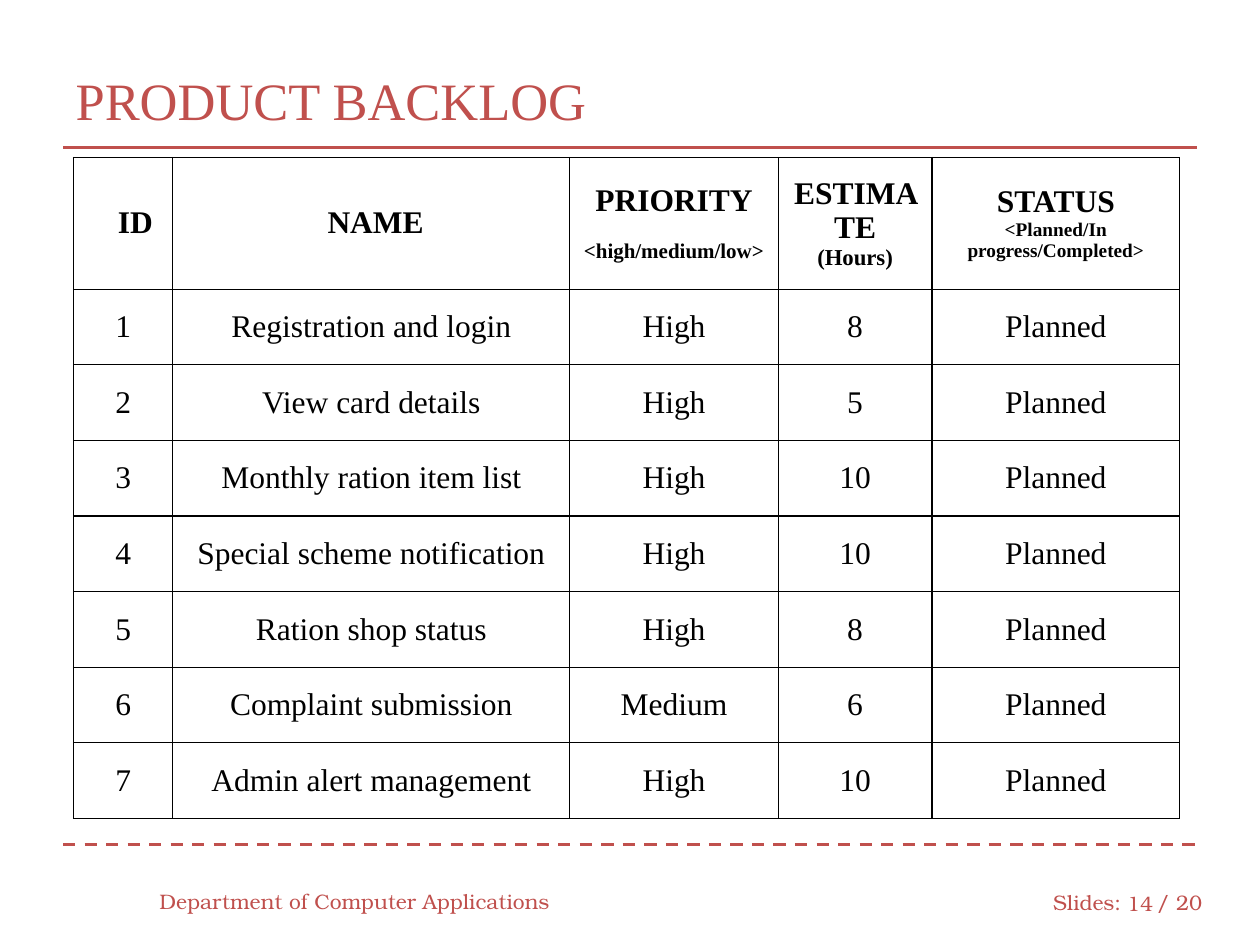
import pptx
import pptx.dml.color
import pptx.enum.dml
import pptx.enum.shapes
import pptx.enum.text
import pptx.oxml
import pptx.oxml.ns
import pptx.util

Pt = pptx.util.Pt
ALIGN = pptx.enum.text.PP_ALIGN
MIDDLE = pptx.enum.text.MSO_ANCHOR.MIDDLE
RED = pptx.dml.color.RGBColor(0xC0, 0x50, 0x4D)
BLACK = pptx.dml.color.RGBColor(0, 0, 0)
WHITE = pptx.dml.color.RGBColor(255, 255, 255)
SERIF = "Times New Roman"
BOOKMAN = "TeX Gyre Bonum"


def write(p, text, font, size, color, bold=False, align=ALIGN.LEFT):
    """Add a formatted run to paragraph p."""
    p.alignment = align
    r = p.add_run()
    r.text = text
    for name, value in {"name": font, "size": Pt(size), "bold": bold}.items():
        setattr(r.font, name, value)
    r.font.color.rgb = color


def add_borders(cell):
    """Draw thin black lines on all four sides of a cell."""
    props = cell._tc.get_or_add_tcPr()
    for i, side in enumerate(("lnL", "lnR", "lnT", "lnB")):
        props.insert(i, pptx.oxml.parse_xml(
            f'<a:{side} {pptx.oxml.ns.nsdecls("a")} w="9525"><a:solidFill>'
            f'<a:srgbClr val="{BLACK}"/></a:solidFill></a:{side}>'))


prs = pptx.Presentation()
prs.slide_width, prs.slide_height = Pt(720), Pt(540)
s = prs.slides.add_slide(prs.slide_layouts[5])
s.background.fill.solid()
s.background.fill.fore_color.rgb = WHITE

# Title
title = s.shapes.title
title.left, title.top, title.width, title.height = Pt(36), Pt(24), Pt(648), Pt(66)
title.text_frame.vertical_anchor = MIDDLE
write(title.text_frame.paragraphs[0], "PRODUCT BACKLOG", SERIF, 30, RED)

# Rules above and below the table
for y, dash in ((84.2, None), (482.4, pptx.enum.dml.MSO_LINE.DASH)):
    rule = s.shapes.add_connector(pptx.enum.shapes.MSO_CONNECTOR.STRAIGHT,
                                  Pt(36), Pt(y), Pt(684), Pt(y))
    rule.line.color.rgb = RED
    rule.line.width = Pt(1.75)
    rule.line.dash_style = dash
    rule._element.spPr.append(
        pptx.oxml.parse_xml(f'<a:effectLst {pptx.oxml.ns.nsdecls("a")}/>'))

# Footer
for text, x, y, width, align in (
    ("Department of Computer Applications", 84, 500.4, 240, ALIGN.LEFT),
    ("Slides:", 594.7, 501, 54, ALIGN.LEFT),
    ("14", 635.8, 501.8, 30.2, ALIGN.RIGHT),
    ("/ 20", 654, 501, 42, ALIGN.LEFT),
):
    tf = s.shapes.add_textbox(Pt(x), Pt(y), Pt(width), Pt(28.8)).text_frame
    tf.word_wrap = True
    tf.vertical_anchor = MIDDLE
    write(tf.paragraphs[0], text, BOOKMAN, 12, RED, align=align)

# Backlog table: each heading has a title, then a note, its size and the gap above it
headings = [
    ("ID", None, 0, 0),
    ("NAME", None, 0, 0),
    ("PRIORITY", "<high/medium/low>", 12, 12),
    ("ESTIMATE", "(Hours)", 13, 0),
    ("STATUS", "<Planned/In progress/Completed>", 11, 0),
]
items = [
    ("Registration and login", "High", 8),
    ("View card details", "High", 5),
    ("Monthly ration item list", "High", 10),
    ("Special scheme notification", "High", 10),
    ("Ration shop status", "High", 8),
    ("Complaint submission", "Medium", 6),
    ("Admin alert management", "High", 10),
]
widths = (56.8, 226.9, 119, 87.9, 141.6)
header_height, row_height = 75.4, 43.2
table = s.shapes.add_table(
    len(items) + 1, len(headings), Pt(42), Pt(89.9), Pt(sum(widths)),
    Pt(header_height + row_height * len(items))).table
for column, width in zip(table.columns, widths):
    column.width = Pt(width)
for i, row in enumerate(table.rows):
    row.height = Pt(row_height if i else header_height)
    for cell in row.cells:
        cell.fill.solid()
        cell.fill.fore_color.rgb = WHITE
        cell.vertical_anchor = MIDDLE
        for side in ("left", "right", "top", "bottom"):
            setattr(cell, f"margin_{side}", Pt(7.2))
        add_borders(cell)

for cell, (heading, note, size, gap) in zip(table.rows[0].cells, headings):
    tf = cell.text_frame
    write(tf.paragraphs[0], heading, SERIF, 18, BLACK, True, ALIGN.CENTER)
    if note:
        p = tf.add_paragraph()
        p.space_before = Pt(gap)
        write(p, note, SERIF, size, BLACK, True, ALIGN.CENTER)
table.cell(0, 0).margin_left = Pt(21)
table.cell(0, 1).margin_left = Pt(12)

for i, (name, priority, hours) in enumerate(items, 1):
    for cell, value in zip(table.rows[i].cells, (i, name, priority, hours, "Planned")):
        write(cell.text_frame.paragraphs[0], str(value), SERIF, 18, BLACK,
              align=ALIGN.CENTER)

prs.save("out.pptx")
